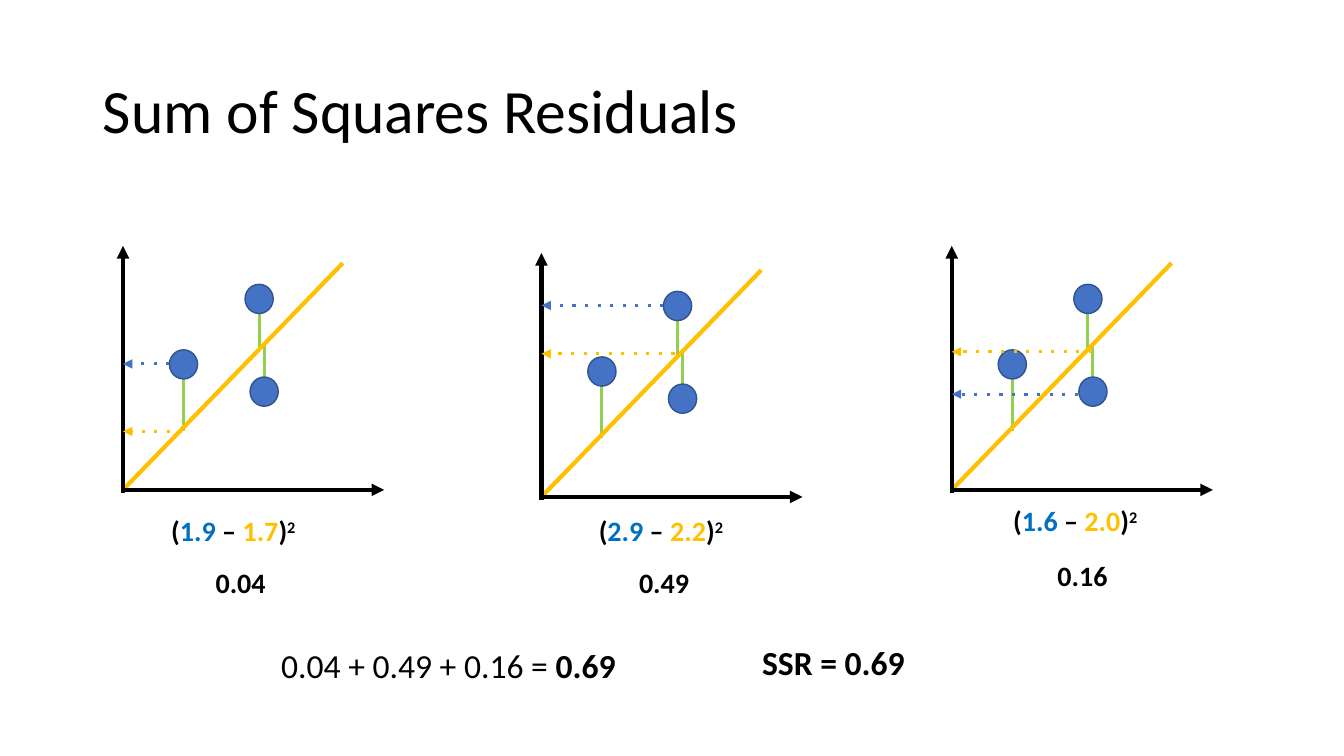
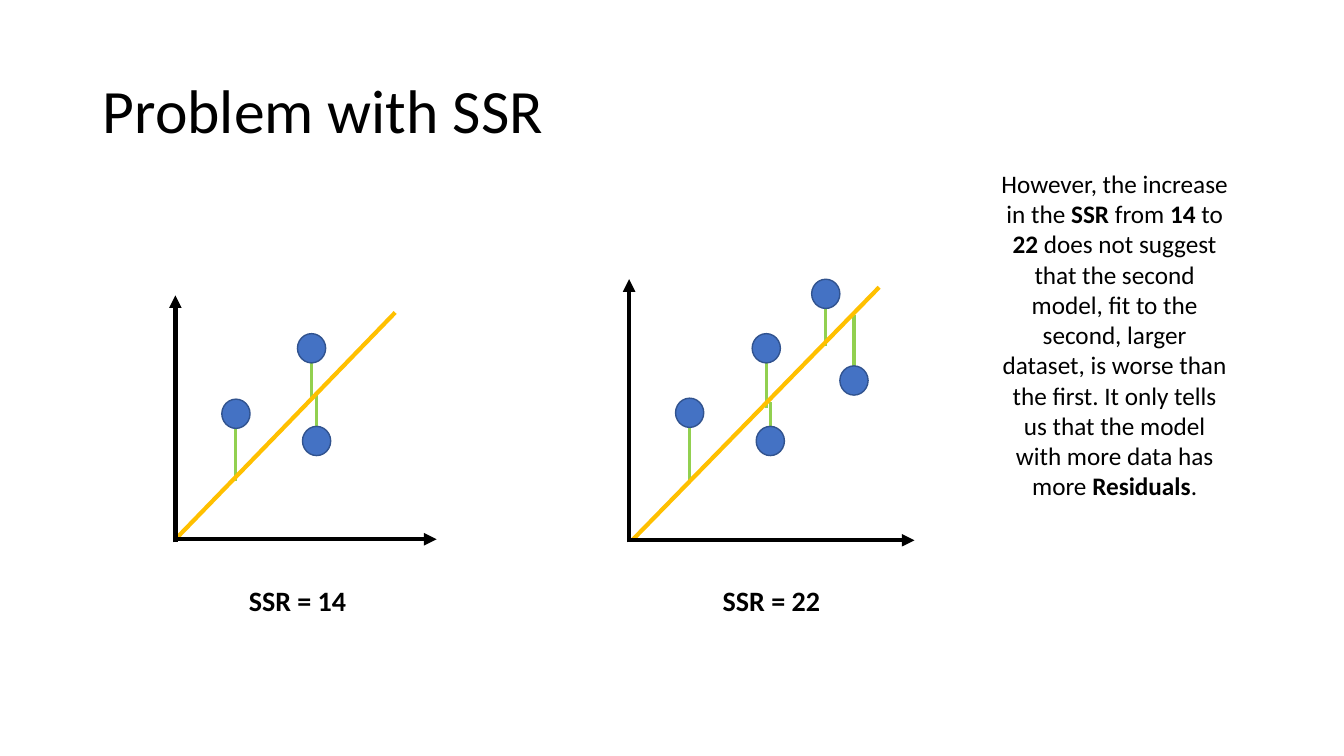
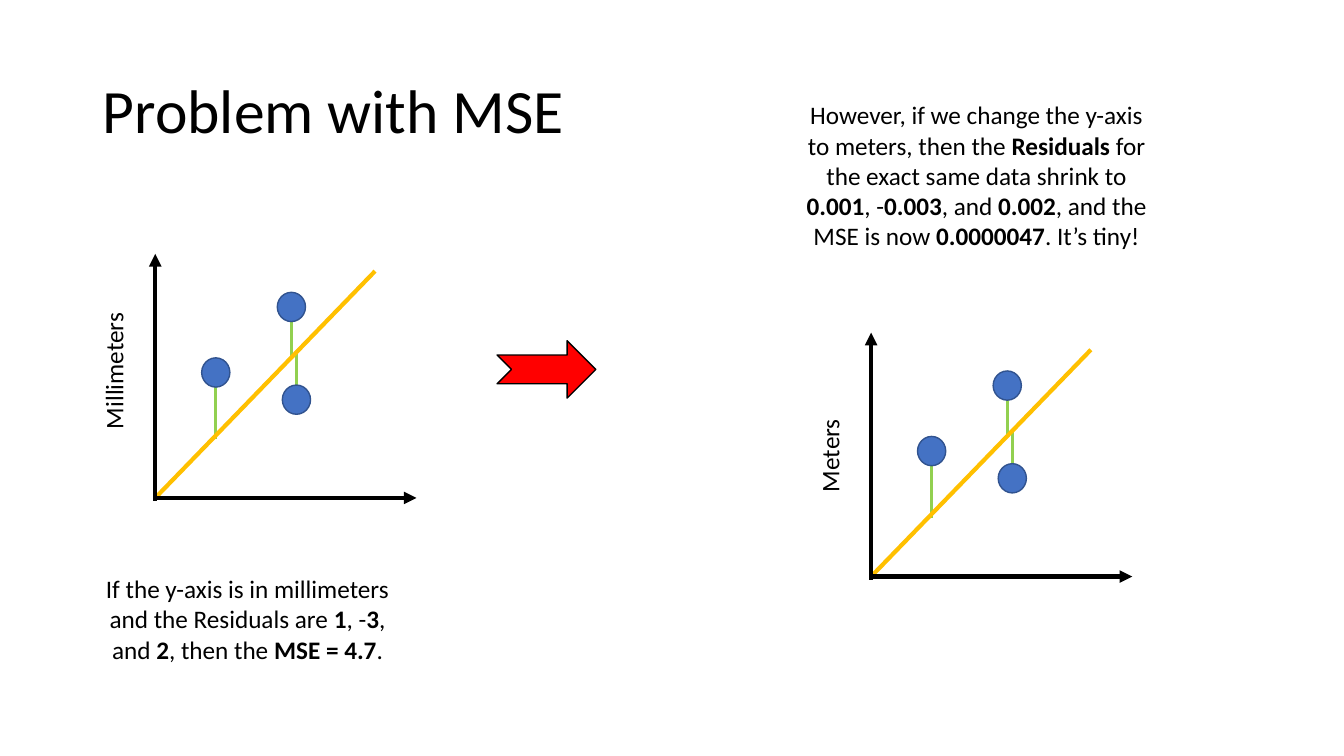
import pptx
import pptx.dml.color
import pptx.enum.shapes
import pptx.enum.text
import pptx.oxml.ns
import pptx.util
from lxml import etree

EMU_PER_PX = 9144  # 100 px to the inch
FONT = "Calibri"
BLACK, RED, GREEN = "000000", "FF0000", "92D050"
YELLOW, BLUE, DARK_BLUE, TEXT_BLUE = "FFC000", "4472C4", "31538F", "0070C0"
TITLE_BOX = (92, 40, 682, 145)
TITLE_ONLY_LAYOUT = 5
MARKER_WIDTH, MARKER_HEIGHT = 28, 29

SHAPE = pptx.enum.shapes.MSO_SHAPE
ALIGN = pptx.enum.text.PP_ALIGN

# Residuals: marker left, marker top, stem top, stem bottom
SMALL_PLOT = {
    "width": 259, "height": 245, "baseline": 242,
    "trend": (0, 242, 218, 17),
    "residuals": [(46, 103, 132, 184), (121, 38, 67, 103), (126, 130, 98, 130)],
}
LARGE_PLOT = {
    "width": 283, "height": 261, "baseline": 259,
    "trend": (3, 259, 248, 8),
    "residuals": [(46, 118, 147, 199), (122, 54, 76, 128), (126, 146, 122, 174),
                  (181, 0, 14, 66), (209, 86, 36, 88)],
}


def px(*lengths):
    return [pptx.util.Emu(length * EMU_PER_PX) for length in lengths]


def color(hex_string):
    return pptx.dml.color.RGBColor.from_string(hex_string)


def set_attributes(target, values):
    for name, value in values.items():
        setattr(target, name, value)


def add_runs(paragraph, runs, size):
    """Add (text, format) pairs; a format may hold bold, color and baseline."""
    for text, run_format in runs:
        run = paragraph.add_run()
        run.text = text
        set_attributes(run.font, {"name": FONT, "size": pptx.util.Pt(size),
                                  "bold": run_format.get("bold", False)})
        run.font.color.rgb = color(run_format.get("color", BLACK))
        if "baseline" in run_format:
            run.font._element.set("baseline", str(run_format["baseline"]))


def marked_runs(text):
    """Split text into runs, bold between pairs of double asterisks."""
    return [(part, {"bold": index % 2 == 1})
            for index, part in enumerate(text.split("**")) if part]


def add_text(shapes, box, runs, size, alignment=ALIGN.LEFT, rotation=0):
    text_box = shapes.add_textbox(*px(*box))
    text_box.rotation = rotation
    text_box.text_frame.word_wrap = True
    paragraph = text_box.text_frame.paragraphs[0]
    paragraph.alignment = alignment
    add_runs(paragraph, runs, size)


def add_line(shapes, ends, line_color, width, arrow=False, dotted=False):
    connector = shapes.add_connector(
        pptx.enum.shapes.MSO_CONNECTOR.STRAIGHT, *px(*ends))
    connector.line.color.rgb = color(line_color)
    connector.line.width = pptx.util.Pt(width)
    qualified = pptx.oxml.ns.qn
    properties = connector._element.spPr
    line = properties.find(qualified("a:ln"))
    if dotted:
        etree.SubElement(line, qualified("a:prstDash"), val="dot")
    if arrow:
        etree.SubElement(line, qualified("a:tailEnd"), type="triangle")
    etree.SubElement(properties, qualified("a:effectLst"))


def add_filled_shape(shapes, kind, box, fill_color, line_color):
    shape = shapes.add_shape(kind, *px(*box))
    shape.shadow.inherit = False
    shape.fill.solid()
    shape.fill.fore_color.rgb = color(fill_color)
    shape.line.color.rgb = color(line_color)
    shape.line.width = pptx.util.Pt(1)


def add_plot(slide, left, top, plot, readings=(), axis_title=None):
    """Draw a residual plot whose y-axis starts at left, top.

    readings holds (x, y, color) of dotted arrows to the y-axis;
    axis_title holds text, text width and centre height.
    """
    shapes = slide.shapes.add_group_shape().shapes
    baseline = top + plot["baseline"]
    for marker_left, _, stem_top, stem_bottom in plot["residuals"]:
        x = left + marker_left + MARKER_WIDTH // 2
        add_line(shapes, (x, top + stem_top, x, top + stem_bottom), GREEN, 2.25)
    for marker_left, marker_top, _, _ in plot["residuals"]:
        box = (left + marker_left, top + marker_top, MARKER_WIDTH, MARKER_HEIGHT)
        add_filled_shape(shapes, SHAPE.FLOWCHART_CONNECTOR, box, BLUE, DARK_BLUE)
    x1, y1, x2, y2 = plot["trend"]
    add_line(shapes, (left + x1, top + y1, left + x2, top + y2), YELLOW, 3)
    add_line(shapes, (left, top + plot["height"], left, top), BLACK, 3, arrow=True)
    add_line(shapes, (left, baseline, left + plot["width"], baseline),
             BLACK, 3, arrow=True)
    for x, y, reading_color in readings:
        add_line(shapes, (left + x, top + y, left, top + y), reading_color, 2.25,
                 arrow=True, dotted=True)
    if axis_title:
        text, width, middle = axis_title
        box = (left - 42 - width // 2, top + middle - 20, width, 40)
        add_text(shapes, box, marked_runs(text), 18, ALIGN.CENTER, rotation=270)


def add_squared_residual(slide, left, top, observed, predicted, result, result_left):
    bold = {"bold": True}
    runs = [("(", bold), (observed, {"bold": True, "color": TEXT_BLUE}),
            (" – ", bold), (predicted, {"bold": True, "color": YELLOW}),
            (")", bold), ("2", {"bold": True, "baseline": 30000})]
    add_text(slide.shapes, (left, top, 175, 44), runs, 20)
    add_text(slide.shapes, (result_left, top + 51 + (top < 500) * 3, 83, 44),
             [(result, bold)], 20)


def add_titled_slide(presentation, title):
    slide = presentation.slides.add_slide(
        presentation.slide_layouts[TITLE_ONLY_LAYOUT])
    shape = slide.shapes.title
    set_attributes(shape, dict(zip(("left", "top", "width", "height"),
                                   px(*TITLE_BOX))))
    set_attributes(shape.text_frame, {
        "vertical_anchor": pptx.enum.text.MSO_ANCHOR.MIDDLE,
        "auto_size": pptx.enum.text.MSO_AUTO_SIZE.NONE,
        "word_wrap": True,
    })
    paragraph = shape.text_frame.paragraphs[0]
    set_attributes(paragraph, {"alignment": ALIGN.LEFT, "line_spacing": 0.9})
    add_runs(paragraph, [(title, {})], 44)
    return slide


def build_sum_of_squares(presentation):
    slide = add_titled_slide(presentation, "Sum of Squares Residuals")
    add_plot(slide, 122, 244, SMALL_PLOT, [(59, 184, YELLOW), (46, 117, BLUE)])
    add_plot(slide, 537, 251, SMALL_PLOT, [(132, 100, YELLOW), (121, 52, BLUE)])
    add_plot(slide, 944, 244, SMALL_PLOT, [(139, 105, YELLOW), (125, 147, BLUE)])
    add_squared_residual(slide, 160, 505, "1.9", "1.7", "0.04", 204)
    add_squared_residual(slide, 584, 505, "2.9", "2.2", "0.49", 624)
    add_squared_residual(slide, 995, 495, "1.6", "2.0", "0.16", 1039)
    add_text(slide.shapes, (269, 635, 363, 50),
             marked_runs("0.04 + 0.49 + 0.16 = **0.69**"), 24)
    add_text(slide.shapes, (746, 632, 185, 50), marked_runs("**SSR = 0.69**"), 24)


def build_ssr_problem(presentation):
    slide = add_titled_slide(presentation, "Problem with SSR")
    add_plot(slide, 174, 293, SMALL_PLOT)
    add_plot(slide, 624, 277, LARGE_PLOT)
    for left, label in ((237, "**SSR = 14**"), (707, "**SSR = 22**")):
        add_text(slide.shapes, (left, 574, 143, 44), marked_runs(label), 20)
    add_text(slide.shapes, (983, 162, 245, 343), marked_runs(
        "However, the increase in the **SSR** from **14** to **22** does not "
        "suggest that the second model, fit to the second, larger dataset, is "
        "worse than the first. It only tells us that the model with more data "
        "has more **Residuals**."), 18, ALIGN.CENTER)


def build_mse_problem(presentation):
    slide = add_titled_slide(presentation, "Problem with MSE")
    add_plot(slide, 154, 252, SMALL_PLOT, axis_title=("Millimeters", 145, 116))
    add_plot(slide, 864, 330, SMALL_PLOT, axis_title=("Meters", 131, 122))
    add_text(slide.shapes, (79, 564, 333, 101), marked_runs(
        "If the y-axis is in millimeters and the Residuals are **1**, -**3**, "
        "and **2**, then the **MSE = 4.7**."), 18, ALIGN.CENTER)
    add_text(slide.shapes, (786, 94, 365, 162), marked_runs(
        "However, if we change the y-axis to meters, then the **Residuals** for "
        "the exact same data shrink to **0.001**, -**0.003**, and **0.002**, and "
        "the MSE is now **0.0000047**. It’s tiny!"), 18, ALIGN.CENTER)
    add_filled_shape(slide.shapes, SHAPE.NOTCHED_RIGHT_ARROW, (493, 338, 98, 57),
                     RED, BLACK)


def main():
    presentation = pptx.Presentation()
    presentation.slide_width, presentation.slide_height = px(1333, 750)
    build_sum_of_squares(presentation)
    build_ssr_problem(presentation)
    build_mse_problem(presentation)
    presentation.save("out.pptx")


if __name__ == "__main__":
    main()
